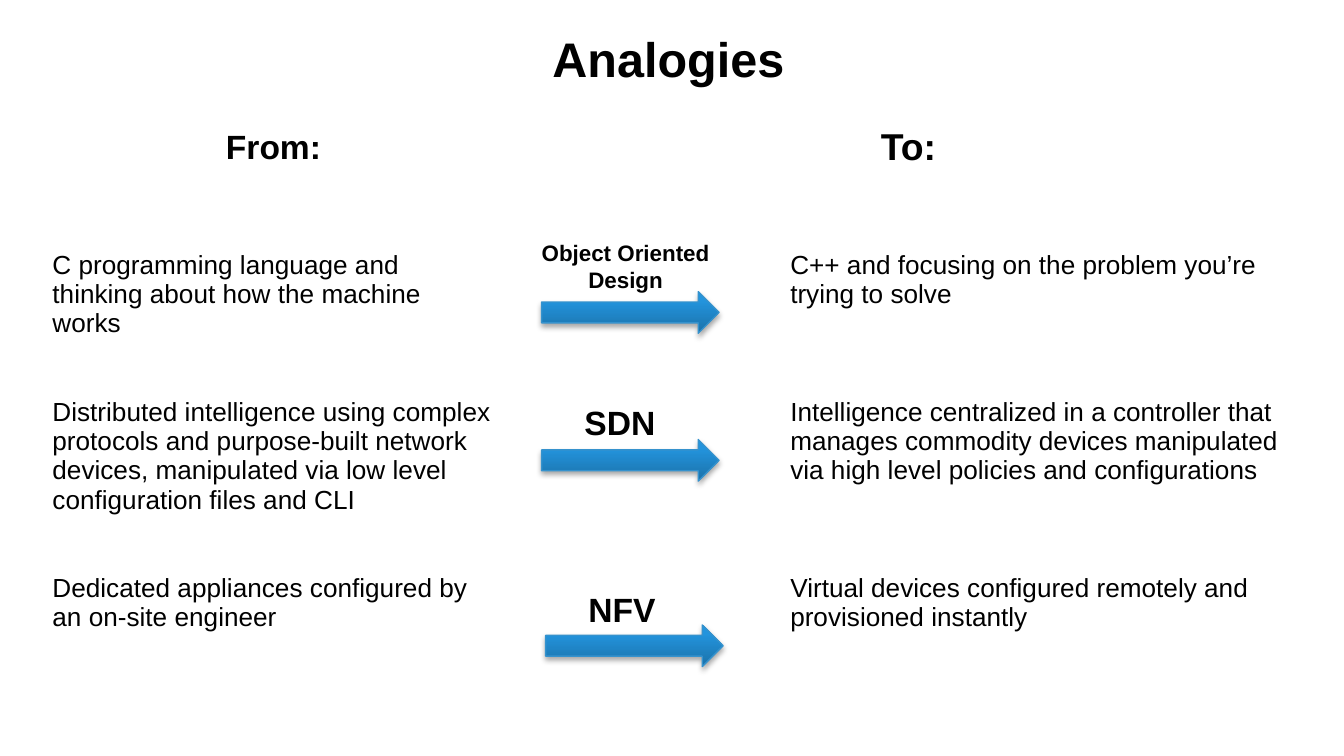
from lxml import etree
from pptx import Presentation
from pptx.dml.color import RGBColor
from pptx.enum import shapes, text
from pptx.oxml import parse_xml
from pptx.util import Inches, Pt

CENTER = text.PP_ALIGN.CENTER
DRAWING = 'xmlns:a="http://schemas.openxmlformats.org/drawingml/2006/main"'
STOPS = [(0, "1B72AA"), (80, "2394DD"), (100, "1F96E2")]
FROM_ITEMS = [
    "C programming language and thinking about how the machine works",
    "Distributed intelligence using complex protocols and purpose-built network "
    "devices, manipulated via low level configuration files and CLI",
    "Dedicated appliances configured by an on-site engineer",
]
TO_ITEMS = [
    "C++ and focusing on the problem you’re trying to solve",
    "Intelligence centralized in a controller that manages commodity devices "
    "manipulated via high level policies and configurations",
    "Virtual devices configured remotely and provisioned instantly",
]


def color(value):
    return RGBColor.from_string(value)


def write(para, words, size, bold=False, align=None):
    span = para.add_run()
    span.text = words
    span.font.name = "Arial"
    span.font.size = Pt(size)
    span.font.bold = bold
    span.font.color.rgb = color("000000")
    para.alignment = align


def add_label(page, left, top, width, height, words, size, align=None, wrap=True):
    box = page.shapes.add_textbox(*map(Inches, (left, top, width, height)))
    box.text_frame.word_wrap = wrap
    para = box.text_frame.paragraphs[0]
    write(para, words, size, True, align)
    return para


def add_title(page, left, top, width, height):
    para = add_label(page, left, top, width, height, "Analogies", 26, CENTER)
    para.line_spacing = Pt(25)


def add_comparison(page, left, top, width, height):
    header_height, from_width = 0.42, 3.49
    frame = page.shapes.add_table(2, 2, *map(Inches, (left, top, width, height)))
    table = frame.table
    table.first_row = table.horz_banding = False
    table.rows[0].height = Inches(header_height)
    table.rows[1].height = Inches(height - header_height)
    columns = [
        ("From:", 18, FROM_ITEMS, from_width, 0.1, 31.5),
        ("To:", 20, TO_ITEMS, width - from_width, 2.1, 47.25),
    ]
    for index, (heading, size, items, column_width, margin, gap) in enumerate(columns):
        table.columns[index].width = Inches(column_width)
        header, body = table.cell(0, index), table.cell(1, index)
        header.fill.background()
        header.vertical_anchor = text.MSO_ANCHOR.MIDDLE
        write(header.text_frame.paragraphs[0], heading, size, True, CENTER)
        body.fill.background()
        body.margin_left = Inches(margin)
        body.margin_top = Inches(0.55)
        para = body.text_frame.paragraphs[0]
        for position, item in enumerate(items):
            if position:
                para = body.text_frame.add_paragraph()
                para.space_before = Pt(gap)
            write(para, item, 14)


def add_arrow(page, left, top, width, height):
    arrow = page.shapes.add_shape(
        shapes.MSO_SHAPE.RIGHT_ARROW, *map(Inches, (left, top, width, height)))
    arrow.line.color.rgb = color("3592CD")
    arrow.line.width = Pt(0.75)
    arrow.fill.gradient()
    arrow.fill.gradient_angle = 90
    stop_list = arrow.element.spPr.find(".//{*}gsLst")
    for stop in list(stop_list):
        stop_list.remove(stop)
    for offset, shade in STOPS:
        stop_list.append(parse_xml(
            f'<a:gs {DRAWING} pos="{offset * 1000}"><a:srgbClr val="{shade}"/></a:gs>'))
    arrow.shadow.inherit = False
    effects = arrow.element.spPr.find("{*}effectLst")
    effects.append(etree.fromstring(
        f'<a:outerShdw {DRAWING} blurRad="{Pt(3.1)}" dist="{Pt(1.8)}" dir="5400000" '
        'rotWithShape="0"><a:srgbClr val="000000"><a:alpha val="35000"/>'
        '</a:srgbClr></a:outerShdw>'))


def main():
    deck = Presentation()
    deck.slide_width = Inches(10)
    deck.slide_height = deck.slide_width * 9 // 16
    page = deck.slides.add_slide(deck.slide_layouts[6])
    add_title(page, 0.36, 0.25, 9.23, 0.58)
    add_comparison(page, 0.29, 0.88, 9.45, 4.13)
    for left, top in [(4.03, 2.17), (4.03, 3.27), (4.06, 4.65)]:
        add_arrow(page, left, top, 1.32, 0.31)
    for words, left, top in [("SDN", 4.25, 2.94), ("NFV", 4.28, 4.33)]:
        add_label(page, left, top, 0.73, 0.4, words, 18, wrap=False)
    add_label(page, 3.79, 1.73, 1.73, 0.5, "Object Oriented Design", 12, CENTER)
    deck.save("out.pptx")


if __name__ == "__main__":
    main()
